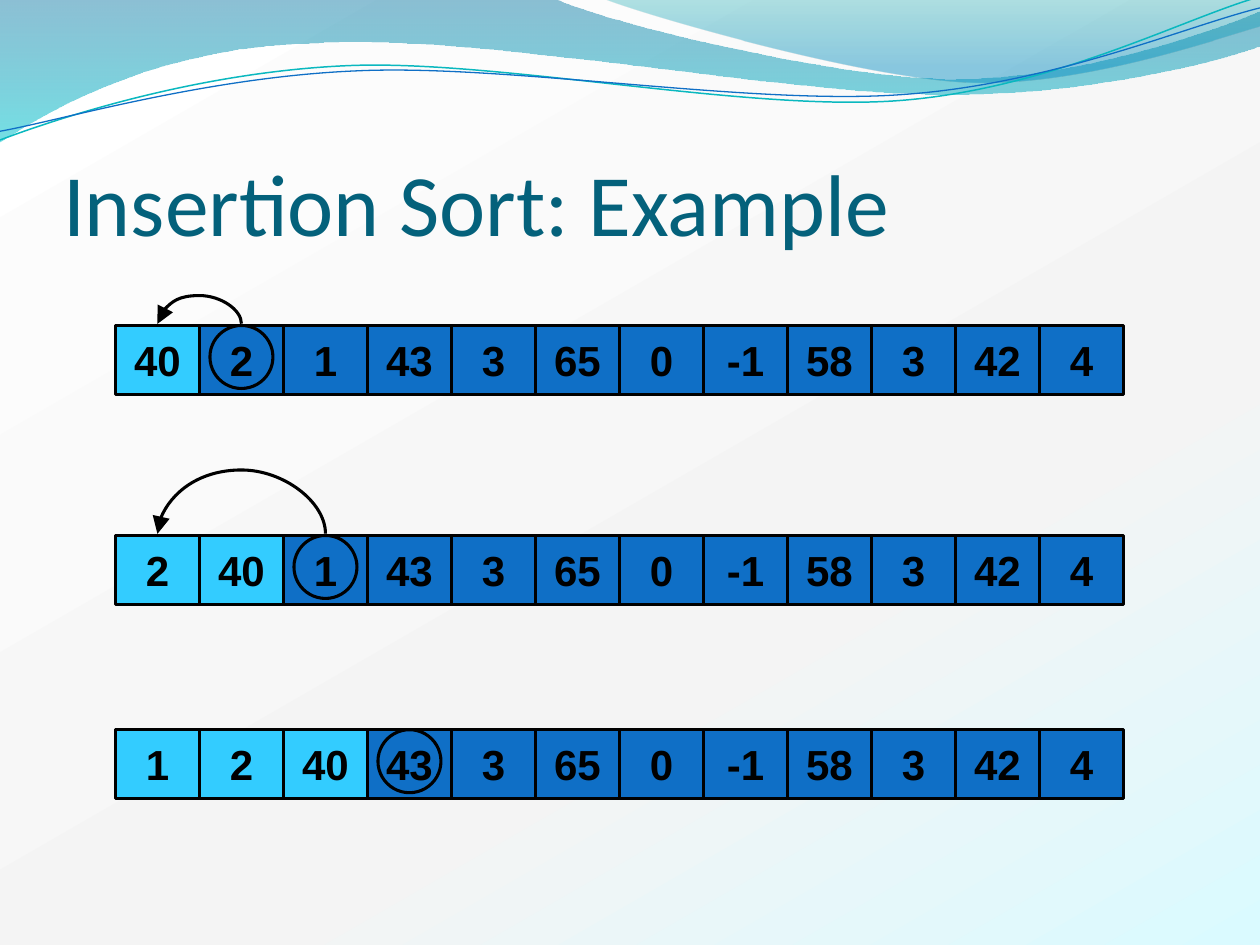
"""Build the insertion sort example slide."""
from dataclasses import dataclass

from lxml import etree
from pptx import Presentation
from pptx.dml.color import RGBColor
from pptx.enum.shapes import MSO_CONNECTOR, MSO_SHAPE
from pptx.enum.text import MSO_ANCHOR, PP_ALIGN
from pptx.oxml.ns import qn
from pptx.util import Pt

RECTANGLE, OVAL, CURVE = MSO_SHAPE.RECTANGLE, MSO_SHAPE.OVAL, MSO_CONNECTOR.CURVE
MIDDLE, BOTTOM = MSO_ANCHOR.MIDDLE, MSO_ANCHOR.BOTTOM
LEFT, CENTER = PP_ALIGN.LEFT, PP_ALIGN.CENTER

TITLE_ONLY = 5
ROW_LEFT, CELL_WIDTH, CELL_HEIGHT = 66, 48, 39.3
RING_SIZE = 36
ARROW_DEPTH = 0.12


@dataclass(frozen=True)
class Theme:
    """Colours, fonts and type sizes of the slide."""
    title: str = "04617B"
    ink: str = "000000"
    sorted_cell: str = "33CCFF"
    unsorted_cell: str = "0F6FC6"
    teal_line: str = "0AB8BF"
    blue_line: str = "0F6FC6"
    background: tuple = ((0, "FFFFFF", 100), (65, "F4F4F4", 100), (100, "DAFAFF", 100))
    wide_wave: tuple = ((0, "0074A1", 45), (100, "00C6CF", 55))
    corner_wave: tuple = ((0, "00A1A9", 30), (80, "008BBF", 45))
    title_font: str = "Calibri"
    cell_font: str = "Arial"
    title_size: float = 50
    cell_size: float = 24
    outline: float = 1.75


THEME = Theme()

WIDE_WAVE = [
    [(0, 0)], [(317, -0.7)],
    [(343, 12), (478, 45), (546, 45)], [(614, 45), (690, 19), (720, 6.5)],
    [(720.7, 26)],
    [(708, 32), (626, 55), (537, 54)], [(448, 54), (275, 20), (185, 24.5)],
    [(93, 26), (33, 60), (-0.7, 81.5)],
]
CORNER_WAVE = [
    [(345, -0.7)],
    [(366, 8), (491, 44.5), (553.5, 47)], [(616, 49.5), (692, 23), (720, 15)],
    [(720, 0)],
]
TEAL_SWEEP = [
    [(0, 80)],
    [(34.5, 67), (114, 41), (199.5, 37.5)], [(284.5, 34), (427, 64), (513.5, 57.5)],
    [(600, 51), (675.5, 11), (718.5, -1.5)],
]
BLUE_SWEEP = [
    [(0, 75)],
    [(34, 69), (118, 44), (204, 40.5)], [(290, 36.5), (430, 60.5), (516, 54)],
    [(602, 48), (677.5, 15), (720, 4.5)],
]

UNSORTED_TAIL = [43, 3, 65, 0, -1, 58, 3, 42, 4]
PASSES = [
    {"top": 186, "values": [40, 2, 1], "sorted_count": 1, "lift": 17},
    {"top": 306, "values": [2, 40, 1], "sorted_count": 2, "lift": 38.5},
    {"top": 417, "values": [1, 2, 40], "sorted_count": 3, "lift": None},
]


def rgb(value):
    """Turn a hex string into a colour."""
    return RGBColor.from_string(value)


def write_text(frame, text, *, font, size, color, bold=False, align=LEFT, anchor=MIDDLE, wrap=True):
    """Put formatted text into a text frame."""
    frame.text = text
    frame.word_wrap = wrap
    frame.vertical_anchor = anchor
    paragraph = frame.paragraphs[0]
    paragraph.alignment = align
    style = paragraph.runs[0].font
    style.name, style.size, style.bold = font, Pt(size), bold
    style.color.rgb = rgb(color)


def paint_gradient(fill, owner, stops, angle):
    """Give a fill clockwise-angled gradient stops with opacity in percent."""
    fill.gradient()
    fill.gradient_angle = 360 - angle
    stop_list = owner.find(".//" + qn("a:gsLst"))
    stop_list.clear()
    for position, color, opacity in stops:
        stop = etree.SubElement(stop_list, qn("a:gs"), pos=str(position * 1000))
        tint = etree.SubElement(stop, qn("a:srgbClr"), val=color)
        if opacity < 100:
            etree.SubElement(tint, qn("a:alpha"), val=str(opacity * 1000))


def add_outline(slide, segments, closed):
    """Draw a freeform whose three-point segments are cubic curves."""
    start, *ends = [(Pt(x), Pt(y)) for x, y in (segment[-1] for segment in segments)]
    builder = slide.shapes.build_freeform(*start)
    builder.add_line_segments(ends, close=closed)
    outline = builder.convert_to_shape()
    outline.shadow.inherit = False
    sides = outline.element.findall(".//" + qn("a:lnTo"))
    for side, segment in zip(sides, segments[1:]):
        if len(segment) == 3:
            curve = etree.Element(qn("a:cubicBezTo"))
            for x, y in segment:
                etree.SubElement(curve, qn("a:pt"), x=str(Pt(x) - outline.left),
                                 y=str(Pt(y) - outline.top))
            side.getparent().replace(side, curve)
    return outline


def add_wave(slide, segments, stops):
    """Draw a translucent gradient wave."""
    wave = add_outline(slide, segments, closed=True)
    paint_gradient(wave.fill, wave.element, stops, 90)
    wave.line.fill.background()


def add_sweep(slide, segments, color, width):
    """Draw a thin curved line."""
    sweep = add_outline(slide, segments, closed=False)
    sweep.fill.background()
    sweep.line.color.rgb = rgb(color)
    sweep.line.width = Pt(width)


def add_box(slide, preset, left, top, width, height, fill=None):
    """Draw a preset shape with a black outline and an optional fill."""
    box = slide.shapes.add_shape(preset, Pt(left), Pt(top), Pt(width), Pt(height))
    box.shadow.inherit = False
    if fill:
        box.fill.solid()
        box.fill.fore_color.rgb = rgb(fill)
    else:
        box.fill.background()
    box.line.color.rgb = rgb(THEME.ink)
    box.line.width = Pt(THEME.outline)
    return box


def add_move_arrow(slide, start, end, y, lift):
    """Draw an arched arrow leftwards from start to end, both at height y."""
    span = start - end
    left, top = (start + end - ARROW_DEPTH) / 2, y - span / 2
    arrow = slide.shapes.add_connector(
        CURVE, Pt(left), Pt(top), Pt(left + ARROW_DEPTH), Pt(top + span))
    arrow.line.color.rgb = rgb(THEME.ink)
    arrow.line.width = Pt(THEME.outline)
    properties = arrow.element.spPr
    frame = properties.find(qn("a:xfrm"))
    for key, value in (("rot", "16200000"), ("flipH", "1"), ("flipV", "1")):
        frame.set(key, value)
    adjustments = properties.find(qn("a:prstGeom")).get_or_add_avLst()
    bend = round(-lift / ARROW_DEPTH * 100000)
    etree.SubElement(adjustments, qn("a:gd"), name="adj1", fmla=f"val {bend}")
    etree.SubElement(properties.find(qn("a:ln")), qn("a:tailEnd"),
                     type="triangle", w="lg", len="lg")
    etree.SubElement(properties, qn("a:effectLst"))


def add_pass(slide, top, values, sorted_count, lift):
    """Draw one pass: the array, the ringed key and its move to the front."""
    for index, value in enumerate(values + UNSORTED_TAIL):
        fill = THEME.sorted_cell if index < sorted_count else THEME.unsorted_cell
        cell = add_box(slide, RECTANGLE, ROW_LEFT + index * CELL_WIDTH, top,
                       CELL_WIDTH, CELL_HEIGHT, fill)
        write_text(cell.text_frame, str(value), font=THEME.cell_font, size=THEME.cell_size,
                   color=THEME.ink, bold=True, align=CENTER, wrap=False)
    front = ROW_LEFT + CELL_WIDTH / 2
    key = front + sorted_count * CELL_WIDTH
    add_box(slide, OVAL, key - RING_SIZE / 2, top, RING_SIZE, RING_SIZE)
    if lift:
        add_move_arrow(slide, key, front, top - 1, lift)


def add_title(slide, text):
    """Place and format the title placeholder."""
    title = slide.shapes.title
    title.left, title.top, title.width, title.height = Pt(36), Pt(55.4), Pt(648), Pt(90)
    frame = title.text_frame
    frame.margin_left = frame.margin_right = frame.margin_bottom = Pt(0)
    frame.margin_top = Pt(3.6)
    write_text(frame, text, font=THEME.title_font, size=THEME.title_size,
               color=THEME.title, anchor=BOTTOM)


def main():
    """Build and save the slide."""
    deck = Presentation()
    deck.slide_width, deck.slide_height = Pt(720), Pt(540)
    slide = deck.slides.add_slide(deck.slide_layouts[TITLE_ONLY])
    paint_gradient(slide.background.fill, slide.element, THEME.background, 60)
    add_wave(slide, WIDE_WAVE, THEME.wide_wave)
    add_wave(slide, CORNER_WAVE, THEME.corner_wave)
    add_sweep(slide, TEAL_SWEEP, THEME.teal_line, 0.85)
    add_sweep(slide, BLUE_SWEEP, THEME.blue_line, 0.75)
    for sorting_pass in PASSES:
        add_pass(slide, **sorting_pass)
    add_title(slide, "Insertion Sort: Example")
    deck.save("out.pptx")


if __name__ == "__main__":
    main()
